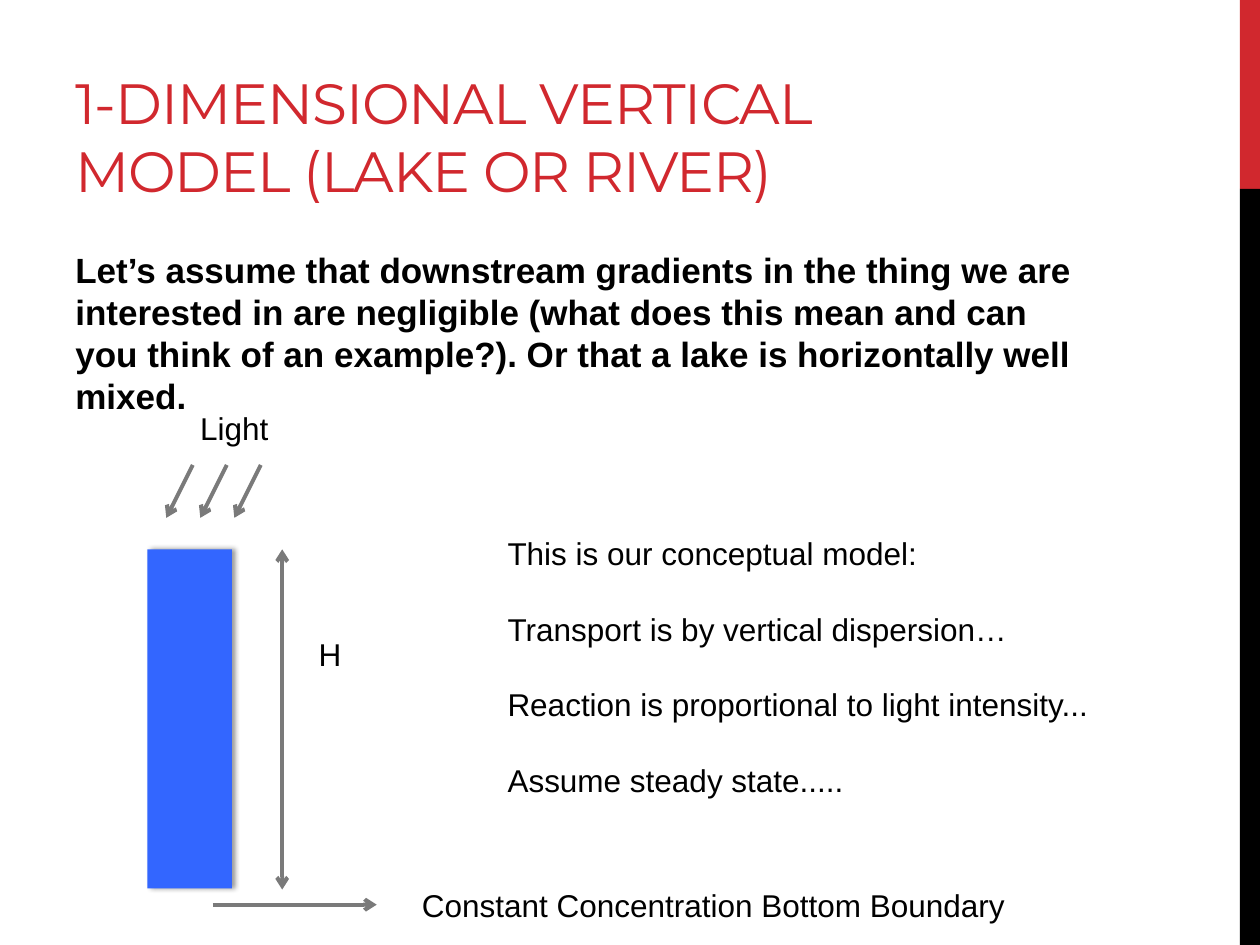
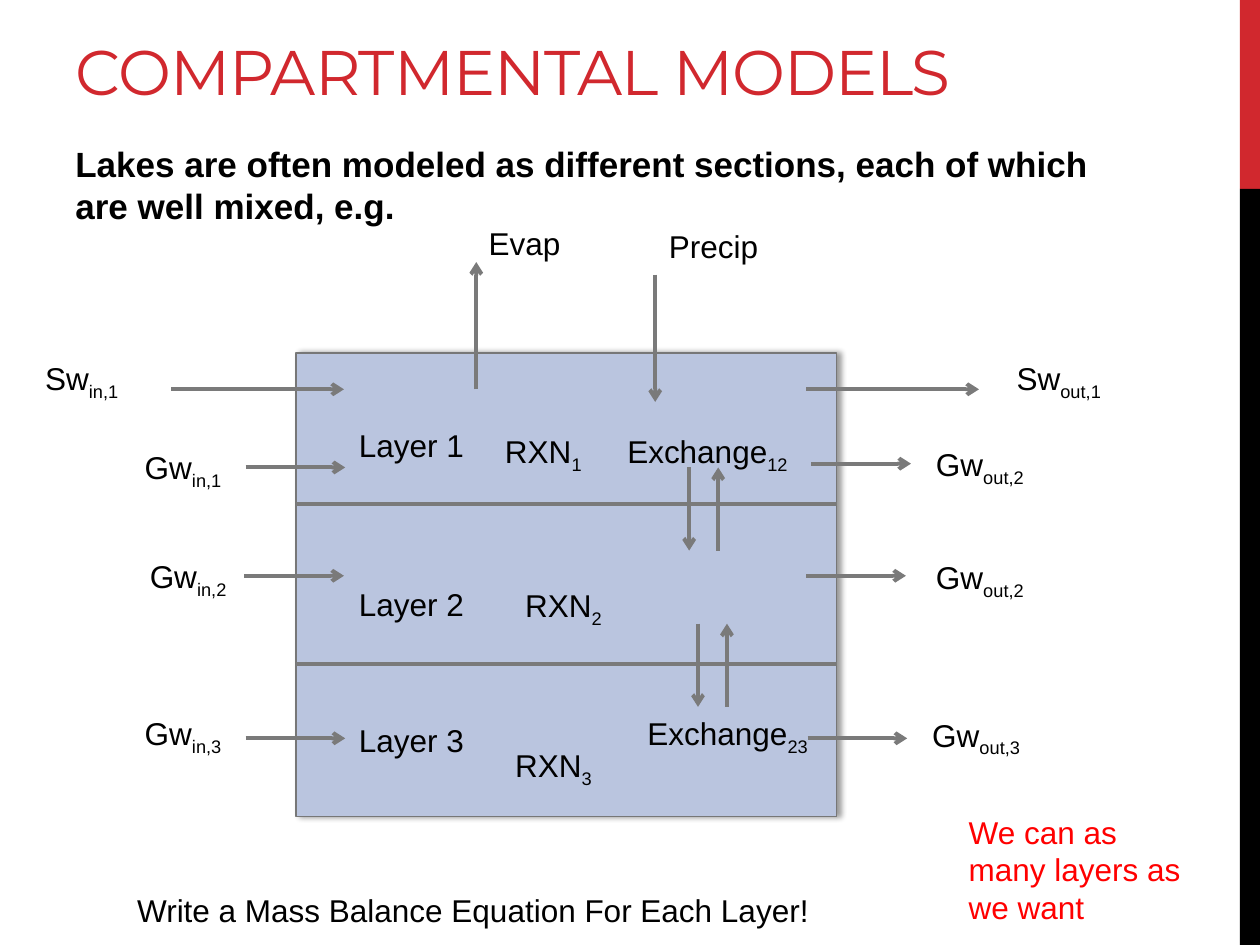
from dataclasses import dataclass

from lxml.etree import SubElement
from pptx import Presentation
from pptx.dml.color import RGBColor
from pptx.enum.shapes import MSO_CONNECTOR, MSO_SHAPE
from pptx.enum.text import MSO_ANCHOR, MSO_AUTO_SIZE
from pptx.oxml.ns import qn
from pptx.util import Emu, Pt

# Shared look; lengths are px, 100 to the inch
PX = 9144
RED, BLACK, GREY = "D1282E", "000000", "7A7A7A"
NOTE_RED, WATER, LAYER_FILL, LAYER_EDGE = "FF0000", "3366FF", "BAC5DF", "777777"
BODY_FONT, TITLE_FONT = "Arial", "Montserrat"
LABEL_H = 40


@dataclass(frozen=True)
class Label:
    x: int
    y: int
    w: int
    text: str
    sub: str = ""


@dataclass(frozen=True)
class Arrow:
    x1: int
    y1: int
    x2: int
    y2: int
    head: bool = False
    tail: bool = True


def px(n: int) -> Emu:
    return Emu(n * PX)


def rgb(code: str) -> RGBColor:
    return RGBColor.from_string(code)


def draw_rect(s, x: int, y: int, w: int, h: int, fill: str,
              edge: str = "", shadow: bool = False):
    sp = s.shapes.add_shape(MSO_SHAPE.RECTANGLE, px(x), px(y), px(w), px(h))
    sp.shadow.inherit = False
    sp.fill.solid()
    sp.fill.fore_color.rgb = rgb(fill)
    if edge:
        sp.line.color.rgb = rgb(edge)
        sp.line.width = Pt(1)
    else:
        sp.line.fill.background()
    if shadow:
        effects = sp._element.spPr.find(qn("a:effectLst"))
        outer = SubElement(effects, qn("a:outerShdw"), blurRad=str(Pt(3.1)),
                           dist=str(Pt(1.8)), dir="0", rotWithShape="0")
        color = SubElement(outer, qn("a:srgbClr"), val=BLACK)
        SubElement(color, qn("a:alpha"), val="40000")
    return sp


def draw_text(s, x: int, y: int, w: int, h: int, lines: list[str], size: float,
              color: str = BLACK, font: str = BODY_FONT, bold: bool = False,
              wrap: bool = True, gap: float = 0):
    tf = s.shapes.add_textbox(px(x), px(y), px(w), px(h)).text_frame
    tf.word_wrap = wrap
    if not wrap:
        tf.auto_size = MSO_AUTO_SIZE.SHAPE_TO_FIT_TEXT
    for i, line in enumerate(lines):
        p = tf.paragraphs[0] if i == 0 else tf.add_paragraph()
        if i and gap:
            p.space_before = Pt(gap)
        p.add_run().text = line
        p.font.name, p.font.size, p.font.bold = font, Pt(size), bold
        p.font.color.rgb = rgb(color)
    return tf


def draw_label(s, label: Label) -> None:
    tf = draw_text(s, label.x, label.y, label.w, LABEL_H, [label.text], 18, wrap=False)
    if label.sub:
        r = tf.paragraphs[0].add_run()
        r.text = label.sub
        r._r.get_or_add_rPr().set("baseline", "-25000")


def draw_arrow(s, a: Arrow) -> None:
    line = s.shapes.add_connector(MSO_CONNECTOR.STRAIGHT,
                                  px(a.x1), px(a.y1), px(a.x2), px(a.y2))
    line.line.color.rgb = rgb(GREY)
    line.line.width = Pt(2.25)
    ln = line.line._get_or_add_ln()
    if a.head:
        SubElement(ln, qn("a:headEnd"), type="arrow")
    if a.tail:
        SubElement(ln, qn("a:tailEnd"), type="arrow")
    SubElement(line._element.spPr, qn("a:effectLst"))


def new_slide(prs, title: str, title_w: int, title_h: int, title_size: float,
              body: str, body_y: int):
    """Add a blank slide with the side band, title and lead paragraph."""
    s = prs.slides.add_slide(prs.slide_layouts[6])
    draw_rect(s, 984, 0, 16, 150, RED)
    draw_rect(s, 984, 150, 16, 600, BLACK)
    tf = draw_text(s, 50, 17, title_w, title_h, [title], title_size, RED, TITLE_FONT)
    tf.vertical_anchor = MSO_ANCHOR.BOTTOM
    tf.paragraphs[0].runs[0]._r.get_or_add_rPr().set("spc", "-60")
    draw_text(s, 50, body_y, 833, 478, [body], 20, bold=True)
    return s


def vertical_model(prs) -> None:
    s = new_slide(prs, "1-DIMENSIONAL VERTICAL MODEL (LAKE OR RIVER)", 633, 150, 32.4,
                  "Let’s assume that downstream gradients in the thing we are "
                  "interested in are negligible (what does this mean and can you "
                  "think of an example?). Or that a lake is horizontally well mixed.",
                  192)
    # Water column, light rays, depth and bottom boundary
    draw_rect(s, 117, 436, 67, 269, WATER, shadow=True)
    rays = [Arrow(x, 369, x - 21, 411) for x in range(153, 208, 27)]
    depth = Arrow(224, 436, 224, 706, head=True)
    boundary = Arrow(169, 718, 299, 718)
    for arrow in [*rays, depth, boundary]:
        draw_arrow(s, arrow)
    for label in (Label(149, 320, 75, "Light"),
                  Label(243, 499, 38, "H"),
                  Label(325, 698, 487, "Constant Concentration Bottom Boundary")):
        draw_label(s, label)
    # Assumptions
    draw_text(s, 393, 419, 486, 252,
              ["This is our conceptual model:",
               "Transport is by vertical dispersion…",
               "Reaction is proportional to light intensity...",
               "Assume steady state....."], 18, wrap=False, gap=21.6)


def compartmental_models(prs) -> None:
    s = new_slide(prs, "COMPARTMENTAL MODELS", 903, 74, 36,
                  "Lakes are often modeled as different sections, each of which "
                  "are well mixed, e.g.", 108)
    # Lake and its layers
    left, width = 235, 429
    draw_rect(s, left, 280, width, 368, LAYER_FILL, LAYER_EDGE, shadow=True)
    for y in (400, 527):
        draw_arrow(s, Arrow(left, y, left + width, y, tail=False))
    for n, y in enumerate((333, 459, 567), start=1):
        draw_label(s, Label(275, y, 104, f"Layer {n}"))

    # Horizontal flows: start x, y, length
    for x, y, length in ((136, 309, 137), (640, 309, 137),
                         (195, 371, 79), (644, 368, 79),
                         (194, 457, 79), (640, 457, 79),
                         (195, 586, 79), (641, 586, 79)):
        draw_arrow(s, Arrow(x, y, x + length, y))
    # Evaporation and precipitation
    draw_arrow(s, Arrow(378, 309, 378, 208))
    draw_arrow(s, Arrow(520, 218, 520, 319))
    # Exchange pairs: down, then up
    for x, top in ((547, 371), (554, 495)):
        draw_arrow(s, Arrow(x, top, x, top + 66))
        draw_arrow(s, Arrow(x + 23, top + 66, x + 23, top))

    # Flow and reaction names
    for label in (Label(378, 173, 78, "Evap"),
                  Label(521, 175, 92, "Precip"),
                  Label(26, 280, 82, "Sw", "in,1"),
                  Label(797, 280, 93, "Sw", "out,1"),
                  Label(105, 351, 85, "Gw", "in,1"),
                  Label(733, 348, 95, "Gw", "out,2"),
                  Label(109, 437, 85, "Gw", "in,2"),
                  Label(733, 438, 95, "Gw", "out,2"),
                  Label(105, 562, 85, "Gw", "in,3"),
                  Label(730, 563, 95, "Gw", "out,3"),
                  Label(488, 338, 151, "Exchange", "12"),
                  Label(504, 562, 151, "Exchange", "23"),
                  Label(391, 338, 83, "RXN", "1"),
                  Label(407, 460, 83, "RXN", "2"),
                  Label(399, 587, 83, "RXN", "3"),
                  Label(99, 702, 559, "Write a Mass Balance Equation For Each Layer!")):
        draw_label(s, label)
    draw_text(s, 759, 640, 194, 101, ["We can as many layers as we want"], 18, NOTE_RED)


def main() -> None:
    prs = Presentation()
    prs.slide_width, prs.slide_height = px(1000), px(750)
    vertical_model(prs)
    compartmental_models(prs)
    prs.save("out.pptx")


if __name__ == "__main__":
    main()
